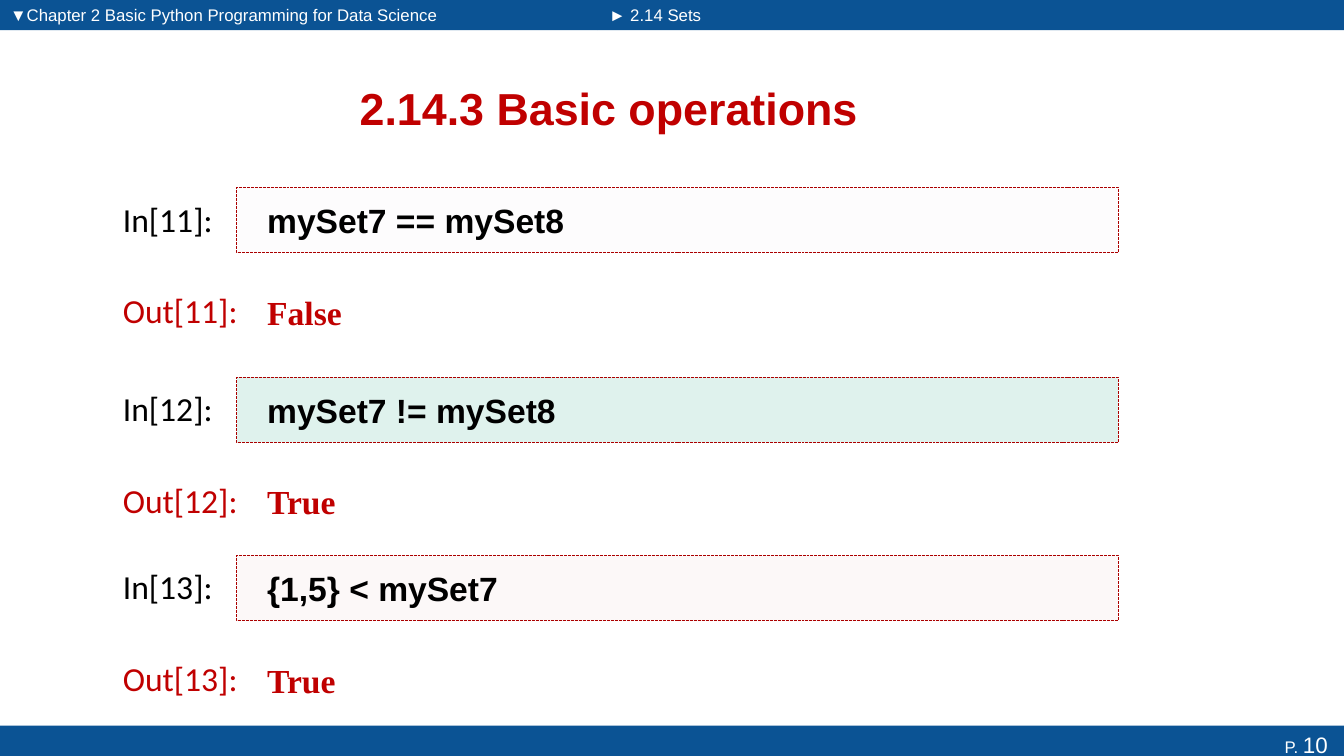
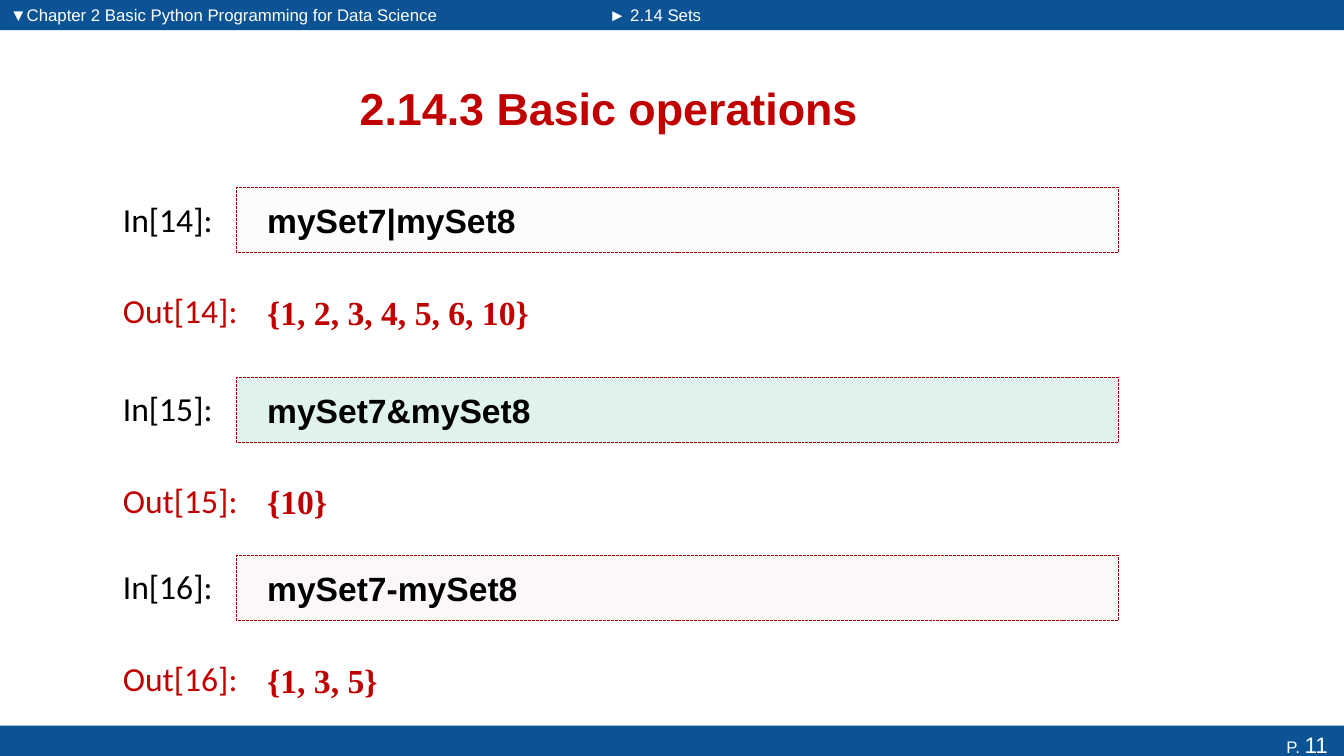
from dataclasses import dataclass

from lxml.etree import SubElement
from pptx import Presentation
from pptx.dml.color import RGBColor
from pptx.enum.dml import MSO_LINE
from pptx.enum.shapes import MSO_SHAPE as Shape
from pptx.enum.text import MSO_ANCHOR as Anchor, MSO_AUTO_SIZE as AutoSize, PP_ALIGN as Align
from pptx.oxml.ns import qn
from pptx.util import Inches, Pt

# Content: one (code, result) pair per notebook cell
CHAPTER = "▼Chapter 2 Basic Python Programming for Data Science"
SECTION = "► 2.14 Sets"
TITLE = "2.14.3 Basic operations"
FIRST_PAGE = 10
FIRST_CELL = 11
PAGES = [
    [("mySet7 == mySet8", "False"),
     ("mySet7 != mySet8", "True"),
     ("{1,5} < mySet7", "True")],
    [("mySet7|mySet8", "{1, 2, 3, 4, 5, 6, 10}"),
     ("mySet7&mySet8", "{10}"),
     ("mySet7-mySet8", "{1, 3, 5}")],
]


@dataclass(frozen=True)
class Theme:
    band: str = "0B5394"
    white: str = "FFFFFF"
    ink: str = "000000"
    accent: str = "C00000"
    outline: str = "AB0000"
    cell_tints: tuple = ("F1EEF4", "0C9B74", "EDCDCB")
    tint_alpha: int = 13
    sans: str = "Arial"
    label: str = "Calibri"
    serif: str = "Times New Roman"
    title_size: int = 32
    cell_size: int = 24
    number_size: int = 16
    small_size: int = 12


THEME = Theme()

# Geometry in inches
WIDTH, HEIGHT = 13.33, 7.5
SPLIT = 5.93
BANDS = [(0, 0, SPLIT, 0.3), (SPLIT, 0, WIDTH - SPLIT, 0.3), (0, 7.2, WIDTH, 0.37)]
FOOTER = BANDS[-1]
PLACEHOLDERS = [(0.68, 0.62, 10.72, 0.9), (0, 0, 4.83, 0.29), (5.94, 0, 2.38, 0.29)]
CELL_TOPS = (1.86, 3.74, 5.51)
RESULT_DROP = 0.91
LABEL_LEFT, LABEL_DROP, LABEL_WIDTH, LABEL_HEIGHT = 1.12, 0.06, 1.4, 0.5
CODE_LEFT, CODE_WIDTH, CODE_HEIGHT = 2.35, 8.74, 0.65


def inches(place):
    return [Inches(value) for value in place]


def write(shape, text, *, font=THEME.sans, size=THEME.cell_size, color=THEME.ink,
          bold=False, align=None, anchor=None, left=0.1, right=0.1):
    """Add formatted text to the shape's first paragraph."""
    frame = shape.text_frame
    frame.word_wrap = True
    frame.auto_size = AutoSize.NONE
    frame.margin_left, frame.margin_right = Inches(left), Inches(right)
    if anchor is not None:
        frame.vertical_anchor = anchor
    para = frame.paragraphs[0]
    if align is not None:
        para.alignment = align
    span = para.add_run()
    span.text = text
    span.font.name, span.font.size, span.font.bold = font, Pt(size), bold
    span.font.color.rgb = RGBColor.from_string(color)


def add_rectangle(shapes, place, color, alpha=None):
    box = shapes.add_shape(Shape.RECTANGLE, *inches(place))
    box.shadow.inherit = False
    box.fill.solid()
    box.fill.fore_color.rgb = RGBColor.from_string(color)
    box.line.fill.background()
    if alpha is not None:
        tint = box.element.spPr.find(f"{qn('a:solidFill')}/{qn('a:srgbClr')}")
        SubElement(tint, qn("a:alpha")).set("val", str(alpha * 1000))
    return box


def prepare_layout(layout, page):
    """Place the layout's title and headers, and put the bands behind them."""
    for holder, place in zip(layout.placeholders, PLACEHOLDERS):
        holder.left, holder.top, holder.width, holder.height = inches(place)
    for position, place in enumerate(BANDS):
        band = add_rectangle(page.shapes, place, THEME.band)
        layout.shapes.element.insert(2 + position, band.element)


def add_cell(page, number, top, tint, code, result):
    """Add one notebook cell: input row above output row."""
    shapes = page.shapes.add_group_shape().shapes
    rows = [("In", top, code, THEME.ink, THEME.sans),
            ("Out", top + RESULT_DROP, result, THEME.accent, THEME.serif)]
    for kind, row_top, text, color, font in rows:
        label = shapes.add_textbox(
            *inches((LABEL_LEFT, row_top + LABEL_DROP, LABEL_WIDTH, LABEL_HEIGHT)))
        write(label, f"{kind}[{number}]:", font=THEME.label, color=color)
        place = (CODE_LEFT, row_top, CODE_WIDTH, CODE_HEIGHT)
        if kind == "In":
            box = add_rectangle(shapes, place, tint, THEME.tint_alpha)
            box.line.color.rgb = RGBColor.from_string(THEME.outline)
            box.line.width = Pt(0.7)
            box.line.dash_style = MSO_LINE.SQUARE_DOT
        else:
            box = shapes.add_textbox(*inches(place))
        write(box, text, font=font, color=color, bold=True, align=Align.LEFT,
              anchor=Anchor.MIDDLE, left=0.3)


def fill_page(page, page_number, first_cell, cells):
    # Title and header placeholders
    title, *headers = page.placeholders
    write(title, TITLE, size=THEME.title_size, color=THEME.accent, bold=True,
          align=Align.CENTER, anchor=Anchor.MIDDLE)
    for header, text in zip(headers, (CHAPTER, SECTION)):
        write(header, text, size=THEME.small_size, color=THEME.white, anchor=Anchor.TOP)
        SubElement(header.text_frame.paragraphs[0]._p.get_or_add_pPr(), qn("a:buNone"))

    # Page number
    footer = page.shapes.add_textbox(*inches(FOOTER))
    for text, size in (("P. ", THEME.small_size), (str(page_number), THEME.number_size)):
        write(footer, text, size=size, color=THEME.white, align=Align.RIGHT, right=0.16)

    # Notebook cells
    for offset, (top, tint, (code, result)) in enumerate(
            zip(CELL_TOPS, THEME.cell_tints, cells)):
        add_cell(page, first_cell + offset, top, tint, code, result)


def main():
    deck = Presentation()
    deck.slide_width, deck.slide_height = Inches(WIDTH), Inches(HEIGHT)
    layout = deck.slide_layouts.get_by_name("Two Content")
    for index, cells in enumerate(PAGES):
        page = deck.slides.add_slide(layout)
        if index == 0:
            prepare_layout(layout, page)
        fill_page(page, FIRST_PAGE + index, FIRST_CELL + index * len(CELL_TOPS), cells)
    deck.save("out.pptx")


if __name__ == "__main__":
    main()
